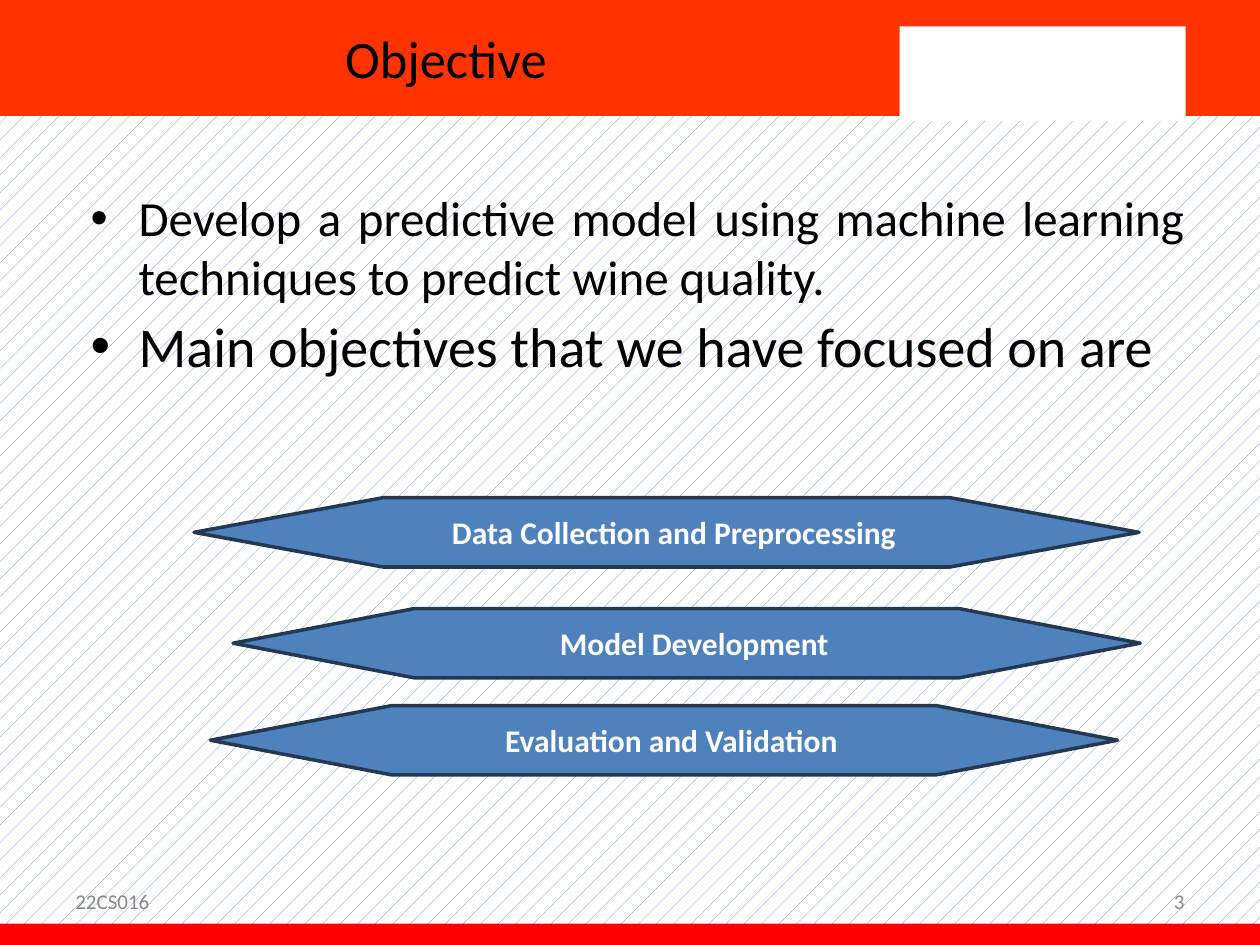
from pptx import Presentation
from pptx.dml.color import RGBColor
from pptx.enum.dml import MSO_PATTERN
from pptx.enum.shapes import MSO_SHAPE
from pptx.enum.text import MSO_ANCHOR, MSO_AUTO_SIZE, PP_ALIGN
from pptx.util import Inches, Pt

COLORS = {
    "band": "FF3300", "strip": "FF0000", "white": "FFFFFF", "black": "000000",
    "blue": "4F81BD", "navy": "233953", "gray": "898989",
}
FONT = "Calibri"


def color(name):
    return RGBColor.from_string(COLORS[name])


def place(shape, box):
    shape.left, shape.top, shape.width, shape.height = map(Inches, box)


def add_span(para, text, size, ink, bold=False):
    span = para.add_run()
    span.text = text
    span.font.name = FONT
    span.font.size = Pt(size)
    span.font.bold = bold
    span.font.color.rgb = color(ink)


def set_indent(para, left, first=0):
    props = para._p.get_or_add_pPr()
    props.set("marL", str(Inches(left)))
    props.set("indent", str(Inches(first)))


def add_block(page, box, fill, preset=MSO_SHAPE.RECTANGLE):
    block = page.shapes.add_shape(preset, *map(Inches, box))
    block.shadow.inherit = False
    block.fill.solid()
    block.fill.fore_color.rgb = color(fill)
    block.line.fill.background()
    return block


def paint_background(page):
    fill = page.background.fill
    fill.patterned()
    fill.pattern = MSO_PATTERN.PERCENT_5
    fill.fore_color.rgb = color("blue")
    fill.back_color.rgb = color("white")


def add_title(page, box):
    title = page.shapes.title
    place(title, box)
    frame = title.text_frame
    frame.auto_size = MSO_AUTO_SIZE.NONE
    frame.vertical_anchor = MSO_ANCHOR.MIDDLE
    para = frame.paragraphs[0]
    para.alignment = PP_ALIGN.CENTER
    add_span(para, "Objective", 30, "black")


def add_points(page, box, points):
    body = page.placeholders[1]
    place(body, box)
    frame = body.text_frame
    frame.auto_size = MSO_AUTO_SIZE.NONE
    for index, (text, size) in enumerate(points):
        para = frame.add_paragraph() if index else frame.paragraphs[0]
        para.alignment = PP_ALIGN.JUSTIFY
        para.space_before = Pt(3.6)
        set_indent(para, 0.5, -0.38)
        add_span(para, text, size, "black")


def add_footer(page, box, text, align):
    frame = page.shapes.add_textbox(*map(Inches, box)).text_frame
    frame.word_wrap = True
    frame.vertical_anchor = MSO_ANCHOR.MIDDLE
    para = frame.paragraphs[0]
    para.alignment = align
    add_span(para, text, 12, "gray")


def add_objective(page, box, text):
    banner = add_block(page, box, "blue", MSO_SHAPE.FLOWCHART_PREPARATION)
    banner.line.color.rgb = color("navy")
    banner.line.width = Pt(2)
    frame = banner.text_frame
    frame.word_wrap = True
    frame.vertical_anchor = MSO_ANCHOR.MIDDLE
    para = frame.paragraphs[0]
    para.alignment = PP_ALIGN.CENTER
    set_indent(para, 0.12)
    add_span(para, text, 18, "white", bold=True)


def main():
    deck = Presentation()
    deck.slide_width, deck.slide_height = Inches(10), Inches(7.5)
    page = deck.slides.add_slide(deck.slide_layouts[1])
    paint_background(page)

    # Header band, logo panel and bottom strip, kept behind the text
    blocks = [
        add_block(page, (0, 0, 10, 0.92), "band"),
        add_block(page, (0, 7.33, 10, 0.22), "strip"),
        add_block(page, (7.14, 0.21, 2.27, 0.75), "white"),
    ]
    for block in blocks:
        page.shapes.title._element.addprevious(block._element)

    # Title and bullet points
    add_title(page, (0, 0, 7.08, 0.92))
    add_points(page, (0.5, 1.44, 9, 5.14), [
        ("Develop a predictive model using machine learning techniques "
         "to predict wine quality.", 28),
        ("Main objectives that we have focused on are", 32),
    ])

    # Footer
    add_footer(page, (0.5, 6.95, 2.33, 0.4), "22CS016", PP_ALIGN.LEFT)
    add_footer(page, (7.17, 6.95, 2.33, 0.4), "3", PP_ALIGN.RIGHT)

    # Objective banners
    for left, top, width, text in [
        (1.54, 3.95, 7.5, "Data Collection and Preprocessing"),
        (1.85, 4.83, 7.2, "Model Development"),
        (1.67, 5.6, 7.2, "Evaluation and Validation"),
    ]:
        add_objective(page, (left, top, width, 0.55), text)

    deck.save("out.pptx")


if __name__ == "__main__":
    main()
